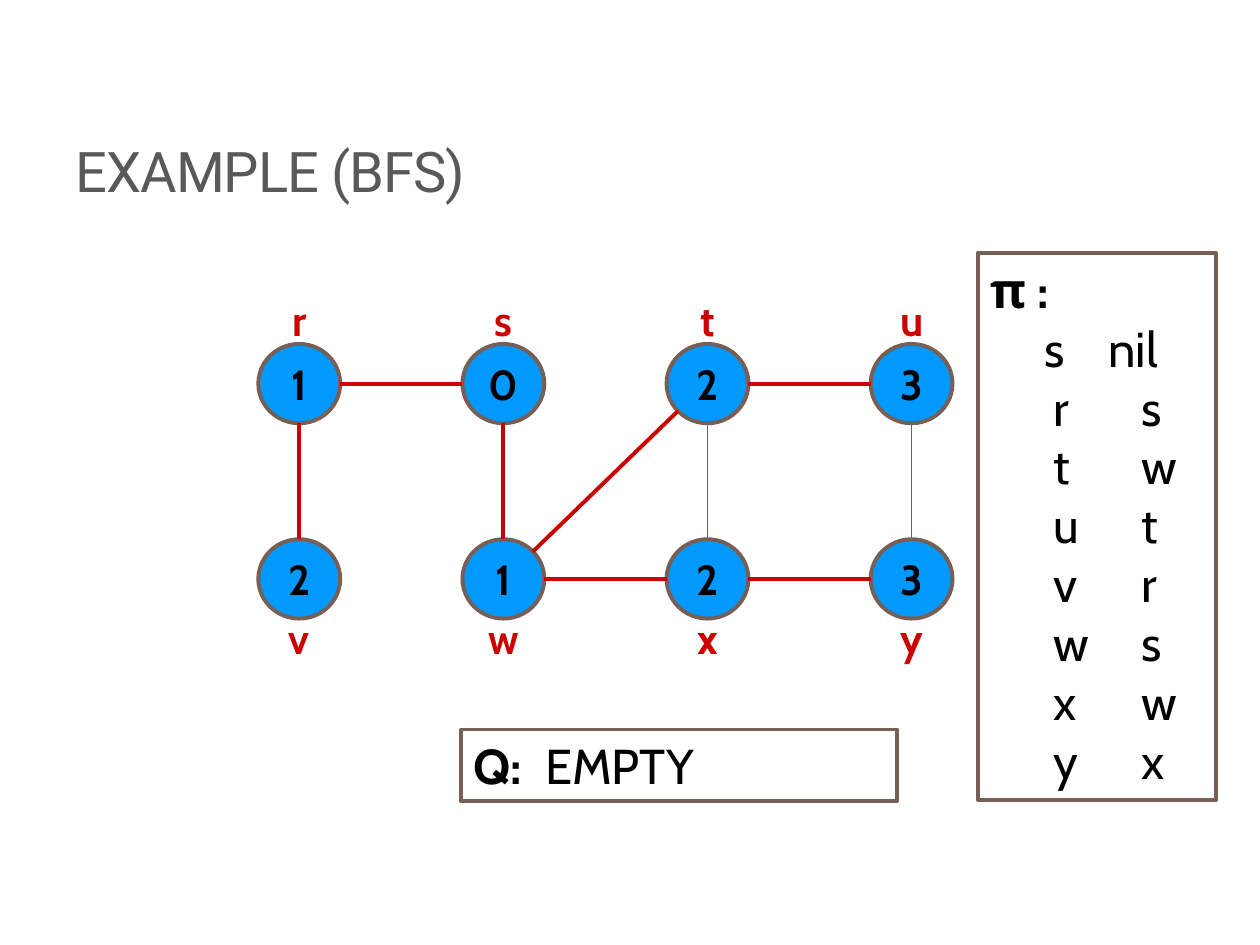
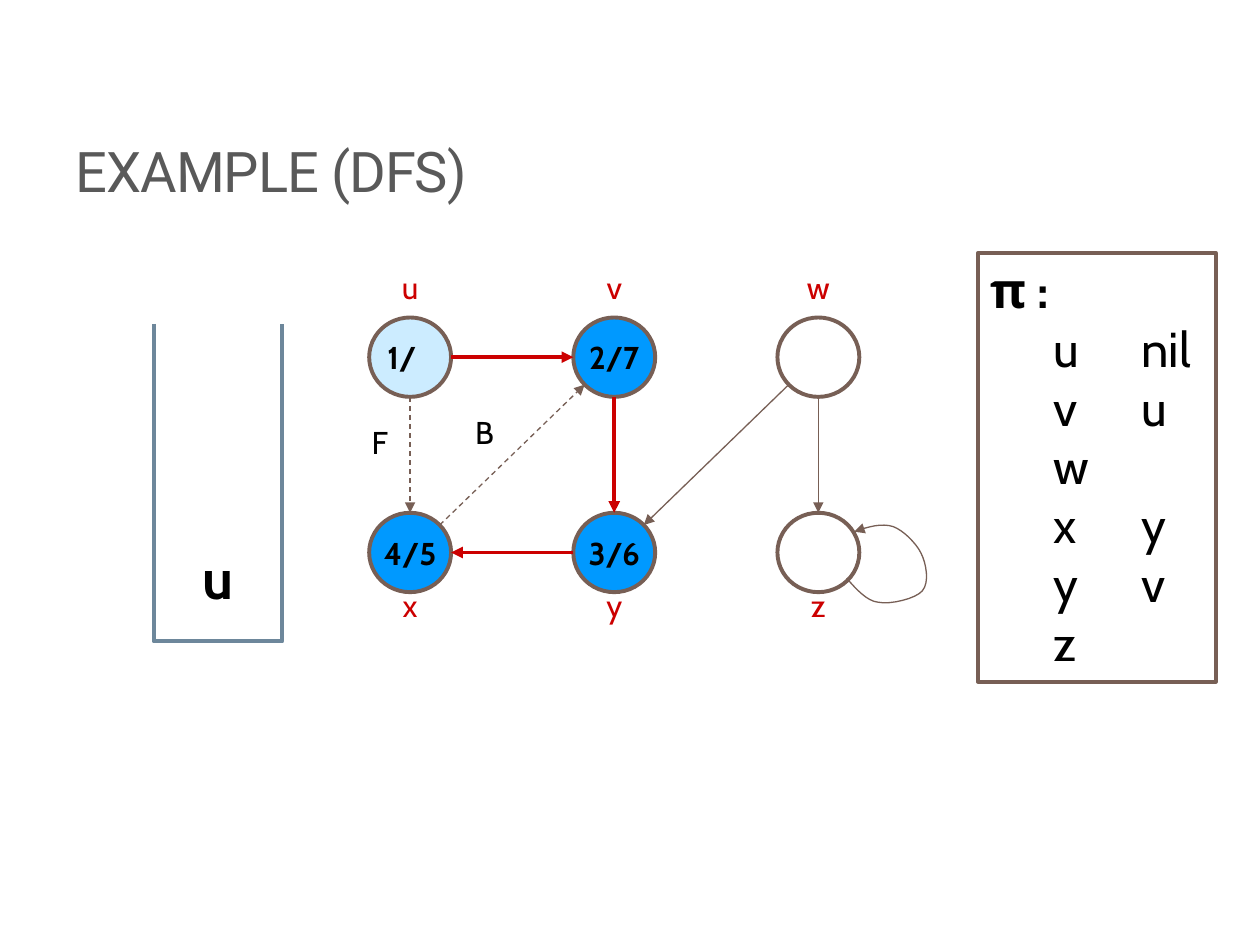
import math

from lxml import etree
from pptx import Presentation
from pptx import util as u
from pptx.dml.color import RGBColor
from pptx.enum import dml, shapes, text
from pptx.oxml.ns import qn

BROWN, RED, BLUE, PALE, STEEL = "775F55", "CC0000", "0099FF", "CCECFF", "6D879B"
BLACK, GREY = "000000", "595959"
COLUMN, ROW = 1.62, 1.55
NODE_WIDTH, NODE_HEIGHT = 0.65, 0.63
LABEL_WIDTH, LABEL_HEIGHT = 0.45, 0.5
ROW_TAB_STOPS = (0.5, 1.2)


def paint(shape, line, width=2.25, fill=None, arrow=False, dashed=False):
    """Set outline and fill, and drop the shadow; also works for connectors."""
    shape.line.color.rgb = RGBColor.from_string(line)
    shape.line.width = u.Pt(width)
    if dashed:
        shape.line.dash_style = dml.MSO_LINE.DASH
    if arrow:
        etree.SubElement(shape.line._get_or_add_ln(), qn("a:tailEnd"), type="triangle")
    if fill:
        shape.fill.solid()
        shape.fill.fore_color.rgb = RGBColor.from_string(fill)
    elif hasattr(shape, "fill"):
        shape.fill.background()
    etree.SubElement(shape._element.spPr, qn("a:effectLst"))


def write(shape, lines, size, colour=BLACK, bold=False, align="CENTER", anchor="MIDDLE",
          font="Cabin", tab_stops=()):
    """Fill a shape with lines; tab_stops holds the stops in inches of each line."""
    frame = shape.text_frame
    frame.text = lines
    frame.word_wrap = True
    frame.vertical_anchor = text.MSO_ANCHOR[anchor]
    for paragraph, stops in zip(frame.paragraphs, tab_stops):
        if stops:
            tab_list = etree.SubElement(paragraph._p.get_or_add_pPr(), qn("a:tabLst"))
            for stop in stops:
                etree.SubElement(tab_list, qn("a:tab"), pos=str(u.Inches(stop)), algn="l")
    for paragraph in frame.paragraphs:
        paragraph.alignment = text.PP_ALIGN[align]
        for run in paragraph.runs:
            run.font.name, run.font.size, run.font.bold = font, u.Pt(size), bold
            run.font.color.rgb = RGBColor.from_string(colour)


# Nodes: name -> column, row, value, fill. Edges: start, end, style.
bfs = {
    "title": "EXAMPLE (BFS)", "origin": (2.05, 2.73), "size": 24, "bold_labels": True,
    "nodes": {"r": (0, 0, "1", BLUE), "s": (1, 0, "0", BLUE),
              "t": (2, 0, "2", BLUE), "u": (3, 0, "3", BLUE),
              "v": (0, 1, "2", BLUE), "w": (1, 1, "1", BLUE),
              "x": (2, 1, "2", BLUE), "y": (3, 1, "3", BLUE)},
    "edges": ["rs tree", "rv tree", "sw tree", "wt tree", "wx tree",
              "tu tree", "xy tree", "tx other", "uy other"],
    "directed": False,
    "parents": ["s\tnil", "r\ts", "t\tw", "u\tt", "v\tr", "w\ts", "x\tw", "y\tx"],
    "first_stops": (0.43, 0.94), "parents_height": 4.34,
}
dfs = {
    "title": "EXAMPLE (DFS)", "origin": (2.93, 2.52), "size": 18, "bold_labels": False,
    "nodes": {"u": (0, 0, "1/", PALE), "v": (1, 0, "2/7", BLUE), "w": (2, 0, "", None),
              "x": (0, 1, "4/5", BLUE), "y": (1, 1, "3/6", BLUE), "z": (2, 1, "", None)},
    "edges": ["uv tree", "vy tree", "yx tree", "ux dashed", "xv dashed",
              "wy other", "wz other"],
    "directed": True,
    "parents": ["u\tnil", "v\tu", "w", "x\ty", "y\tv", "z"],
    "first_stops": ROW_TAB_STOPS, "parents_height": 3.4,
}

presentation = Presentation()
presentation.slide_width, presentation.slide_height = u.Inches(10), u.Inches(7.5)
title_only = presentation.slide_layouts[5]

for example in (bfs, dfs):
    slide = presentation.slides.add_slide(title_only)
    title = slide.shapes.title
    title.left, title.top = u.Inches(0.5), u.Inches(0.17)
    title.width, title.height = u.Inches(8.33), u.Inches(1.5)
    write(title, example["title"], 32, GREY, align="LEFT", anchor="BOTTOM", font="Roboto")
    title.text_frame.paragraphs[0].runs[0]._r.get_or_add_rPr().set("spc", "-60")

    centres = {}
    for name, (column, row, value, fill) in example["nodes"].items():
        left = example["origin"][0] + column * COLUMN
        top = example["origin"][1] + row * ROW
        centre_x, centre_y = left + NODE_WIDTH / 2, top + NODE_HEIGHT / 2
        centres[name] = centre_x, centre_y
        node = slide.shapes.add_shape(
            shapes.MSO_SHAPE.OVAL, u.Inches(left), u.Inches(top),
            u.Inches(NODE_WIDTH), u.Inches(NODE_HEIGHT))
        paint(node, BROWN, fill=fill)
        if value:
            unfinished = value.endswith("/")
            write(node, value, example["size"], bold=True,
                  align="LEFT" if unfinished else "CENTER")
            node.text_frame.margin_left = u.Inches(0.05 if unfinished else 0)
            node.text_frame.margin_right = 0
            node.text_frame.word_wrap = False
        label = slide.shapes.add_textbox(
            u.Inches(centre_x - LABEL_WIDTH / 2), u.Inches(top + (0.53 if row else -0.44)),
            u.Inches(LABEL_WIDTH), u.Inches(LABEL_HEIGHT))
        write(label, name, example["size"], RED, example["bold_labels"], anchor="TOP")

    for edge in example["edges"]:
        (start, end), style = edge.split()
        (start_x, start_y), (end_x, end_y) = centres[start], centres[end]
        angle = math.atan2(end_y - start_y, end_x - start_x)
        trim_x = NODE_WIDTH / 2 * math.cos(angle)
        trim_y = NODE_HEIGHT / 2 * math.sin(angle)
        connector = slide.shapes.add_connector(
            shapes.MSO_CONNECTOR.STRAIGHT,
            u.Inches(start_x + trim_x), u.Inches(start_y + trim_y),
            u.Inches(end_x - trim_x), u.Inches(end_y - trim_y))
        is_tree = style == "tree"
        paint(connector, RED if is_tree else BROWN, 2.25 if is_tree else 0.75,
              arrow=example["directed"], dashed=style == "dashed")

    parents = slide.shapes.add_shape(
        shapes.MSO_SHAPE.RECTANGLE, u.Inches(7.76), u.Inches(2.01),
        u.Inches(1.89), u.Inches(example["parents_height"]))
    paint(parents, BROWN)
    rows = example["parents"]
    write(parents, "\n".join(["π :"] + ["\t" + row for row in rows]), 28,
          align="LEFT", anchor="TOP",
          tab_stops=[(), example["first_stops"]] + [ROW_TAB_STOPS] * (len(rows) - 1))
    parents.text_frame.paragraphs[0].runs[0].font.bold = True

bfs_slide, dfs_slide = presentation.slides

queue = bfs_slide.shapes.add_shape(
    shapes.MSO_SHAPE.RECTANGLE, u.Inches(3.66), u.Inches(5.79), u.Inches(3.46), u.Inches(0.57))
paint(queue, BROWN)
write(queue, "Q:", 28, bold=True, align="LEFT", anchor="TOP", tab_stops=[(0.57,)])
content = queue.text_frame.paragraphs[0].add_run()
content.text = "\tEMPTY"
content.font.name, content.font.size, content.font.bold = "Cabin", u.Pt(28), False
content.font.color.rgb = RGBColor.from_string(BLACK)

for edge_type, left, top in (("B", 3.62, 3.23), ("F", 2.79, 3.31)):
    mark = dfs_slide.shapes.add_textbox(
        u.Inches(left), u.Inches(top), u.Inches(LABEL_WIDTH), u.Inches(LABEL_HEIGHT))
    write(mark, edge_type, 18, anchor="TOP")

# The stack is a box that is open at the top.
stack_points = [(1.22, 2.57), (1.22, 5.09), (2.24, 5.09), (2.24, 2.57)]

# The loop at z: a start point, then two control points and an end point per curve.
loop_points = [
    (6.72, 4.59), (6.8, 4.68), (6.88, 4.77), (6.97, 4.78),
    (7.07, 4.8), (7.27, 4.75), (7.32, 4.69), (7.38, 4.62), (7.35, 4.47), (7.31, 4.39),
    (7.27, 4.31), (7.17, 4.21), (7.09, 4.18), (7, 4.15), (6.89, 4.18), (6.78, 4.22)]
steps = 8
curve = [loop_points[0]]
for first in range(0, len(loop_points) - 1, 3):
    for step in range(1, steps + 1):
        t = step / steps
        weights = ((1 - t) ** 3, 3 * t * (1 - t) ** 2, 3 * t ** 2 * (1 - t), t ** 3)
        curve.append(tuple(
            sum(weight * point[axis]
                for weight, point in zip(weights, loop_points[first:first + 4]))
            for axis in (0, 1)))

# Freeform points are rounded to whole units, so they are given in EMU.
outlines = []
for points in (stack_points, curve):
    start, *others = [(u.Inches(x), u.Inches(y)) for x, y in points]
    builder = dfs_slide.shapes.build_freeform(*start)
    builder.add_line_segments(others, close=False)
    outlines.append(builder.convert_to_shape())
stack, self_loop = outlines

paint(stack, STEEL)
write(stack, "u", 32, bold=True, anchor="BOTTOM")
stack.text_frame.margin_bottom = u.Inches(0.24)
paint(self_loop, BROWN, 0.75, arrow=True)

presentation.save("out.pptx")
